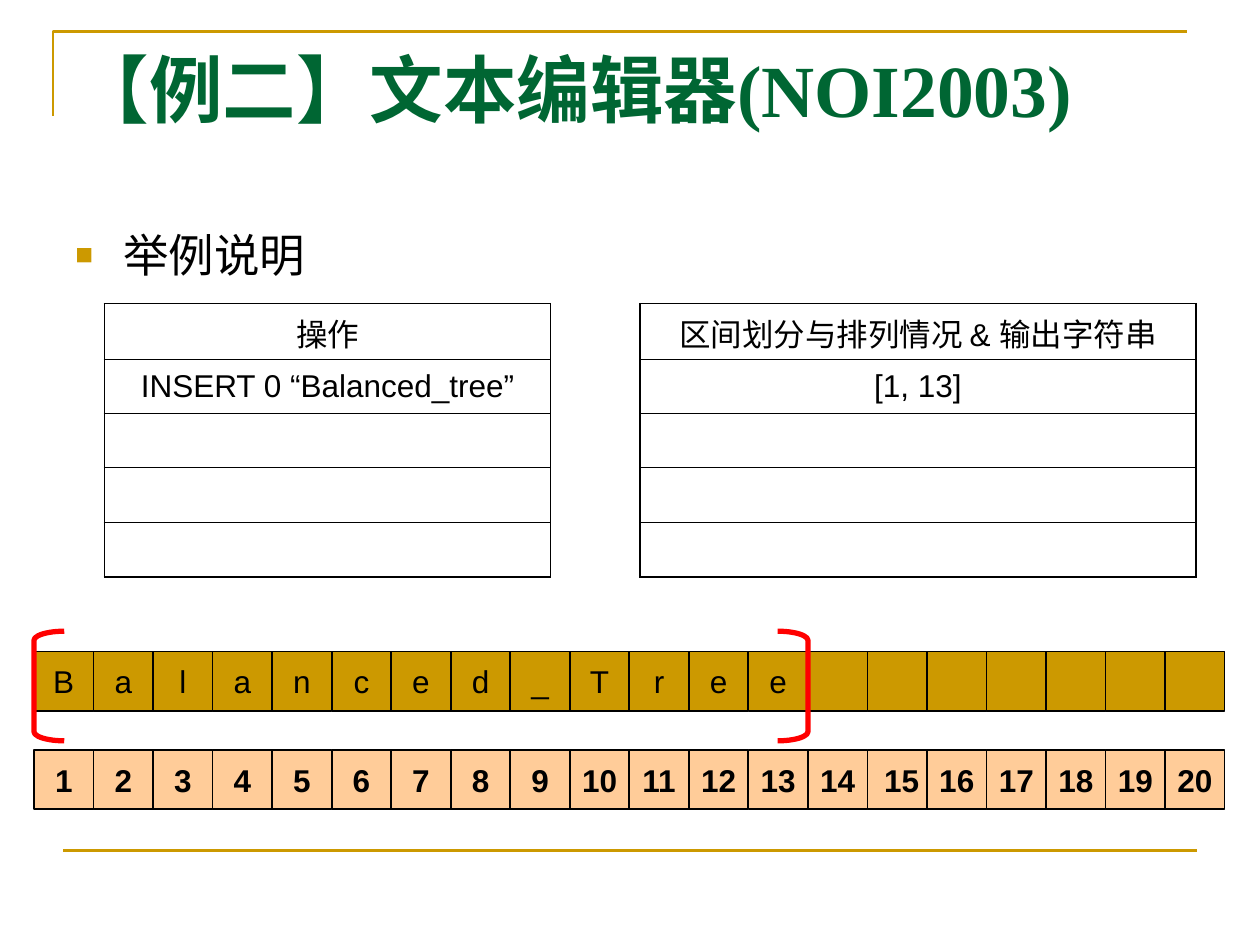
from lxml.etree import SubElement as Sub
from pptx import Presentation
from pptx.dml.color import RGBColor
from pptx.enum.shapes import MSO_CONNECTOR as Link, MSO_SHAPE as Kind
from pptx.enum.text import MSO_ANCHOR as Anchor, MSO_AUTO_SIZE as Fit, PP_ALIGN as Align
from pptx.oxml import parse_xml
from pptx.oxml.ns import nsdecls, qn
from pptx.util import Inches, Pt

GOLD = RGBColor(0xCC, 0x99, 0x00)
PEACH = RGBColor(0xFF, 0xCC, 0x99)
GREEN = RGBColor(0x00, 0x66, 0x33)
RED = RGBColor(0xFF, 0x00, 0x00)
BLACK = RGBColor(0x00, 0x00, 0x00)

COUNT = 20
LEFT = 0.27
STEP = 9.45 / COUNT
WORD = "Balanced_Tree"
ROWS = (0.44, 0.43, 0.43, 0.44, 0.43)


def put(frame, text, size=18, font="Arial", color=BLACK, bold=False, align=Align.CENTER):
    """Write one formatted paragraph and return it."""
    para = frame.paragraphs[0]
    para.alignment = align
    run = para.add_run()
    run.text = text
    run.font.size = Pt(size)
    run.font.name = font
    run.font.bold = bold
    run.font.color.rgb = color
    return para


def place(item, x, y, wide, high):
    """Set the position and size of a shape in inches."""
    item.left, item.top, item.width, item.height = map(Inches, (x, y, wide, high))


def stroke(item, color, width):
    """Give a shape a plain outline."""
    item.line.color.rgb = color
    item.line.width = Pt(width)


def title(slide, text):
    """Format the title placeholder."""
    item = slide.shapes.title
    place(item, 0.5, 0.3, 9, 1.25)
    frame = item.text_frame
    frame.auto_size = Fit.NONE
    frame.vertical_anchor = Anchor.TOP
    put(frame, text, size=42, font="Times New Roman", color=GREEN, bold=True, align=Align.LEFT)


def bullet(slide, text):
    """Add the line with a square bullet."""
    frame = slide.shapes.add_textbox(*map(Inches, (0.5, 1.75, 4.42, 4.95))).text_frame
    frame.word_wrap = True
    para = put(frame, text, size=26, align=Align.LEFT)
    para.space_before = Pt(6.5)
    props = para._p.get_or_add_pPr()
    props.set("marL", str(Inches(0.38)))
    props.set("indent", str(-Inches(0.38)))
    Sub(Sub(props, qn("a:buClr")), qn("a:srgbClr"), val=str(GOLD))
    Sub(props, qn("a:buSzPct"), val="65000")
    Sub(props, qn("a:buFont"), typeface="Arial")
    Sub(props, qn("a:buChar"), char="■")


def rules(slide):
    """Draw the corner frame and the bottom rule."""
    pen = slide.shapes.build_freeform(Inches(0.42), Inches(0.92))
    pen.add_line_segments([(Inches(x), Inches(0.25)) for x in (0.42, 9.42)], close=False)
    frame = pen.convert_to_shape()
    frame.fill.background()
    frame.shadow.inherit = False
    base = slide.shapes.add_connector(Link.STRAIGHT, *map(Inches, (0.5, 6.75, 9.5, 6.75)))
    Sub(base._element.spPr, qn("a:effectLst"))
    for item in (frame, base):
        stroke(item, GOLD, 1.5)


def edge(cell, **widths):
    """Set the cell borders, widths in points by side."""
    props = cell._tc.get_or_add_tcPr()
    for spot, (side, width) in enumerate(widths.items()):
        props.insert(spot, parse_xml(
            f'<a:ln{side} {nsdecls("a")} w="{Pt(width)}"><a:solidFill>'
            f'<a:srgbClr val="{BLACK}"/></a:solidFill></a:ln{side}>'))


def table(slide, x, wide, texts):
    """Add a one-column table with its outer frame."""
    box = map(Inches, (x, 2.41, wide, sum(ROWS)))
    grid = slide.shapes.add_table(len(ROWS), 1, *box).table
    grid.first_row = grid.horz_banding = False
    last = len(ROWS) - 1
    for row, high in enumerate(ROWS):
        grid.rows[row].height = Inches(high)
        cell = grid.cell(row, 0)
        cell.vertical_anchor = Anchor.MIDDLE
        cell.fill.background()
        edge(cell, L=1.08, R=1.08, T=0.45 if row else 1.08, B=0.45 if row < last else 1.08)
        if row < len(texts):
            put(cell.text_frame, texts[row])


def strip(shapes, y, texts, fill, bold=False):
    """Draw a row of equal boxes, with texts from the left."""
    for col in range(COUNT):
        box = shapes.add_shape(Kind.RECTANGLE, Inches(LEFT + col * STEP), Inches(y),
                               Inches(STEP), Inches(STEP))
        box.shadow.inherit = False
        box.fill.solid()
        box.fill.fore_color.rgb = fill
        stroke(box, BLACK, 1)
        if col < len(texts):
            frame = box.text_frame
            frame.word_wrap = False
            frame.vertical_anchor = Anchor.MIDDLE
            put(frame, texts[col], bold=bold)


def bracket(slide, kind, x):
    """Draw one red bracket around the word."""
    item = slide.shapes.add_shape(kind, *map(Inches, (x, 5.01, 0.24, 0.87)))
    item.adjustments[0] = 0.3
    item.shadow.inherit = False
    item.fill.background()
    stroke(item, RED, 3)


def main():
    """Build and save the slide."""
    deck = Presentation()
    deck.slide_width, deck.slide_height = Inches(10), Inches(7.5)
    slide = deck.slides.add_slide(deck.slide_layouts[5])
    rules(slide)
    title(slide, "【例二】文本编辑器(NOI2003)")
    bullet(slide, "举例说明")
    strip(slide.shapes, 5.17, WORD, GOLD)
    table(slide, 0.83, 3.54, ("操作", "INSERT 0 “Balanced_tree”"))
    table(slide, 5.08, 4.41, ("区间划分与排列情况 & 输出字符串", "[1, 13]"))
    bracket(slide, Kind.LEFT_BRACKET, LEFT)
    bracket(slide, Kind.RIGHT_BRACKET, LEFT + len(WORD) * STEP - 0.24)
    marks = [" 15" if num == 15 else str(num) for num in range(1, COUNT + 1)]
    strip(slide.shapes.add_group_shape().shapes, 5.95, marks, PEACH, bold=True)
    deck.save("out.pptx")


main()
